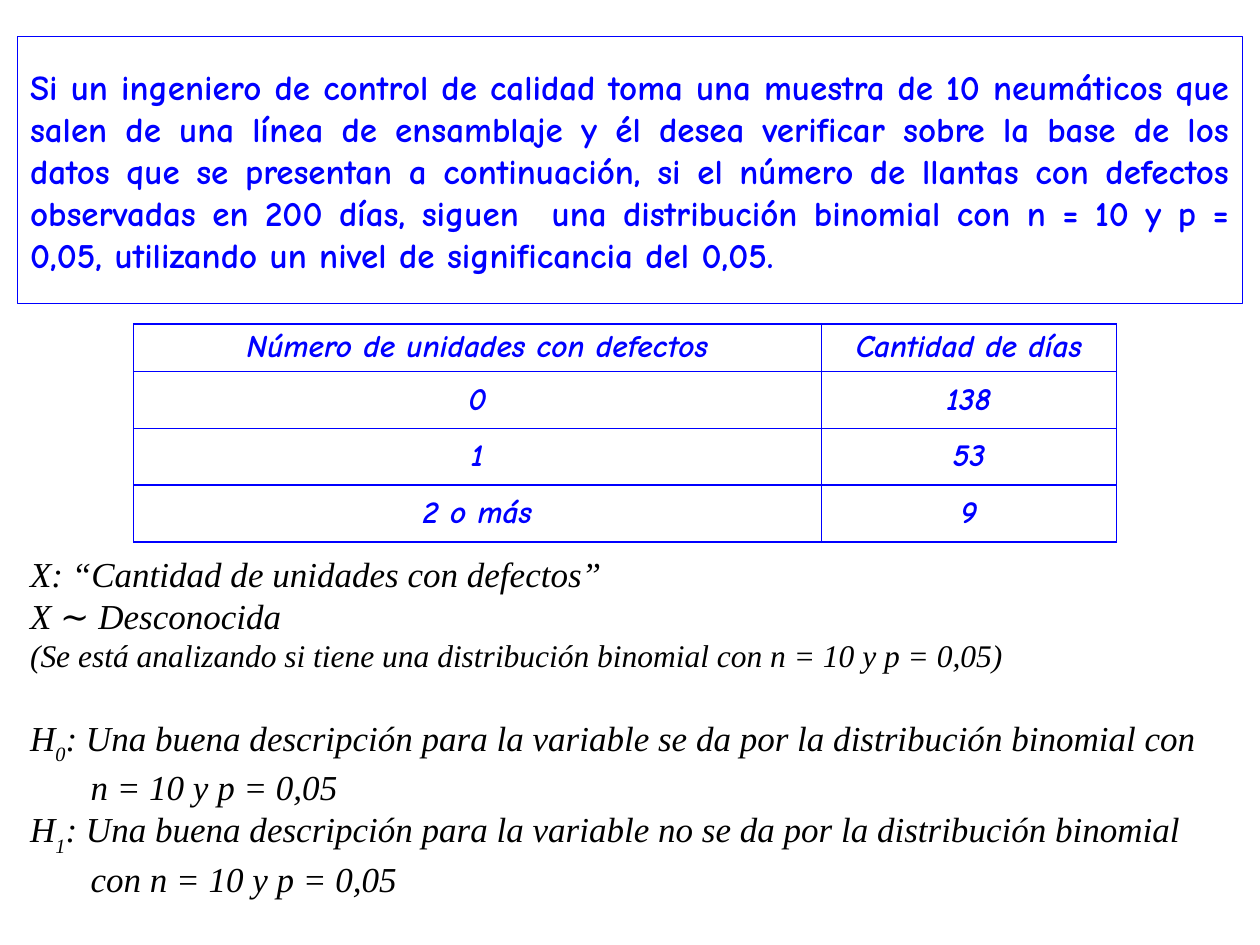
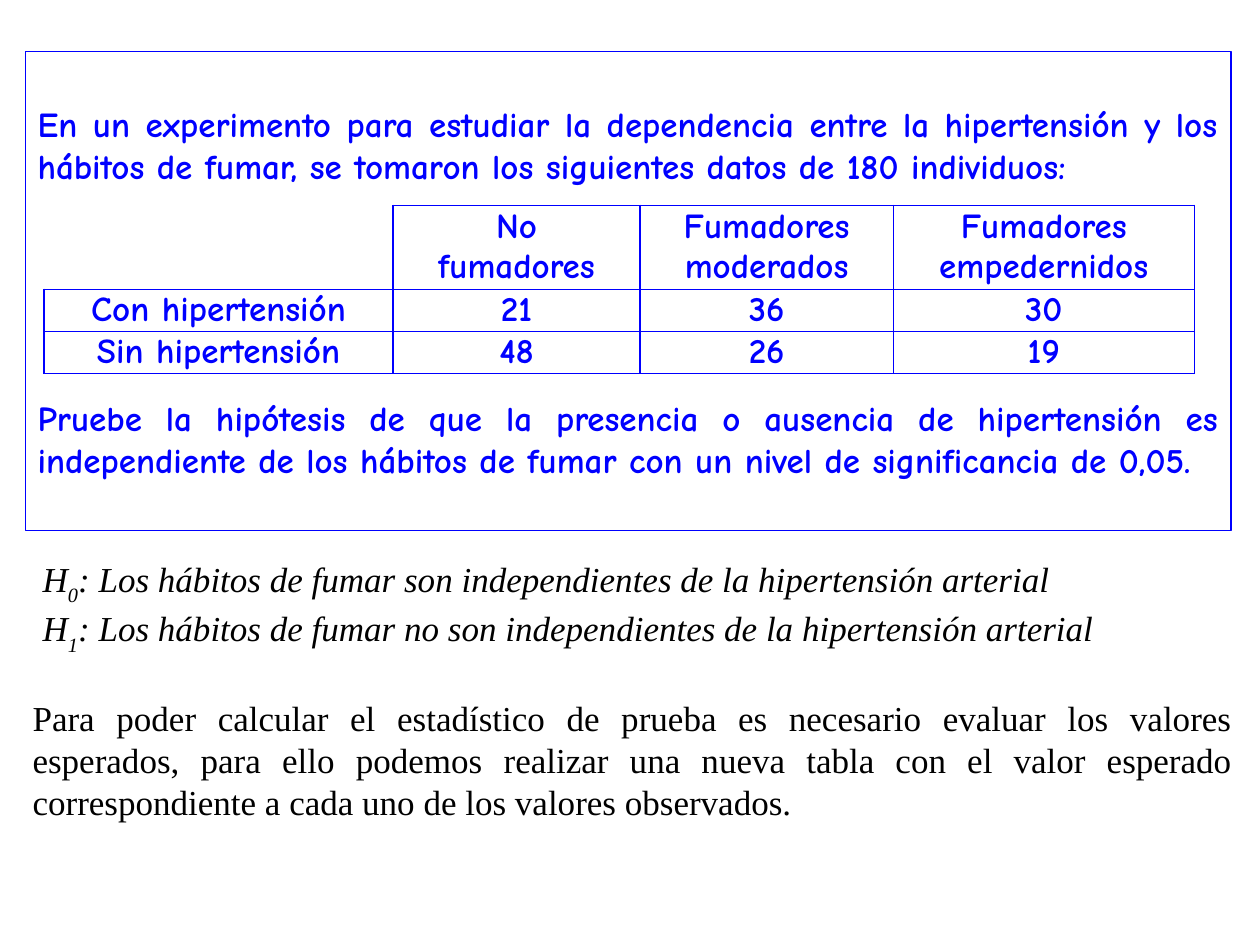
from itertools import product

from lxml import etree
from pptx import Presentation
from pptx.dml.color import RGBColor
from pptx.enum.shapes import MSO_SHAPE as Shape
from pptx.enum.text import MSO_ANCHOR as Anchor, PP_ALIGN as Align
from pptx.oxml.ns import qn
from pptx.util import Inches, Pt

BLUE = RGBColor(0x00, 0x00, 0xFF)
BLACK = RGBColor(0x00, 0x00, 0x00)
STATEMENT_FONT = "Comic Neue"
ANSWER_FONT = "Times New Roman"
BORDER_SIDES = ("a:lnL", "a:lnR", "a:lnT", "a:lnB")
HYPOTHESIS_INDENT = Inches(0.48)


def style(span, name, color, size=20, bold=False, italic=False):
    font = span.font
    font.name, font.size, font.color.rgb = name, Pt(size), color
    font.bold, font.italic = bold, italic


def next_para(frame, index):
    para = frame.paragraphs[0] if index == 0 else frame.add_paragraph()
    para.alignment = Align.JUSTIFY
    return para


def add_statement(page, box, texts, gap=0):
    shape = page.shapes.add_shape(Shape.RECTANGLE, *map(Inches, box))
    shape.shadow.inherit = False
    shape.fill.background()
    shape.line.color.rgb, shape.line.width = BLUE, Pt(0.75)
    frame = shape.text_frame
    frame.word_wrap, frame.vertical_anchor = True, Anchor.MIDDLE
    for index, text in enumerate(texts):
        para = next_para(frame, index)
        para.text = text
        para.space_before = Pt(gap if index else 0)
        style(para.runs[0], STATEMENT_FONT, BLUE, bold=True)


def add_answer(page, box):
    frame = page.shapes.add_textbox(*map(Inches, box)).text_frame
    frame.word_wrap, frame.vertical_anchor = True, Anchor.MIDDLE
    return frame


def add_lines(frame, lines, start=0, size=20, italic=True):
    for index, text in enumerate(lines, start):
        para = next_para(frame, index)
        para.text = text
        style(para.runs[0], ANSWER_FONT, BLACK, size, italic=italic)


def add_hypotheses(frame, hypotheses, start=0, gap=0):
    for number, (text, continuation) in enumerate(hypotheses):
        para = next_para(frame, start)
        para.space_before = Pt(0 if number else gap)
        for part in ("H", str(number), ": " + text):
            span = para.add_run()
            span.text = part
            style(span, ANSWER_FONT, BLACK, italic=True)
        para.runs[1]._r.get_or_add_rPr().set("baseline", "-30000")
        start += 1
        if continuation:
            add_lines(frame, [continuation], start)
            indented = frame.paragraphs[start]
            indented._p.get_or_add_pPr().set("marL", str(HYPOTHESIS_INDENT))
            start += 1


def set_borders(cell, sides):
    properties = cell._tc.get_or_add_tcPr()
    for position, side in enumerate(BORDER_SIDES):
        line = etree.Element(qn(side), w=str(Pt(1)))
        if side in sides:
            fill = etree.SubElement(line, qn("a:solidFill"))
            etree.SubElement(fill, qn("a:srgbClr"), val=str(BLUE))
        else:
            etree.SubElement(line, qn("a:noFill"))
        properties.insert(position, line)


def add_data_table(page, left, top, widths, heights, rows, size, inset, italic=False):
    frame = page.shapes.add_table(
        len(rows), len(widths), Inches(left), Inches(top),
        Inches(sum(widths)), Inches(sum(heights)))
    table = frame.table
    table.first_row = table.horz_banding = False
    for column, width in zip(table.columns, widths):
        column.width = Inches(width)
    for row, height in zip(table.rows, heights):
        row.height = Inches(height)
    for row, column in product(range(len(rows)), range(len(widths))):
        cell, text = table.cell(row, column), rows[row][column]
        cell.fill.background()
        cell.vertical_anchor = Anchor.MIDDLE
        cell.margin_left = cell.margin_right = Inches(inset)
        cell.margin_top = cell.margin_bottom = 0
        cell.text_frame.text = text
        for para in cell.text_frame.paragraphs:
            para.alignment = Align.CENTER
            for span in para.runs:
                style(span, STATEMENT_FONT, BLUE, size, bold=True, italic=italic)
        set_borders(cell, BORDER_SIDES if text else ("a:lnR", "a:lnB"))


def build_tires_page(page):
    add_statement(page, (0.14, 0.29, 9.72, 2.12), [
        "Si un ingeniero de control de calidad toma una muestra de 10 neumáticos que "
        "salen de una línea de ensamblaje y él desea verificar sobre la base de los "
        "datos que se presentan a continuación, si el número de llantas con defectos "
        "observadas en 200 días, siguen  una distribución binomial con n = 10 y p = "
        "0,05, utilizando un nivel de significancia del 0,05."])
    answer = add_answer(page, (0.14, 4.38, 9.72, 2.76))
    add_lines(answer, ["X: “Cantidad de unidades con defectos”", "X ∼ Desconocida"])
    add_lines(answer, ["(Se está analizando si tiene una distribución binomial "
                       "con n = 10 y p = 0,05)"], start=2, size=18)
    add_hypotheses(answer, [
        ("Una buena descripción para la variable se da por la distribución binomial con",
         "n = 10 y p = 0,05"),
        ("Una buena descripción para la variable no se da por la distribución binomial",
         "con n = 10 y p = 0,05")], start=3, gap=24)
    add_data_table(page, 1.06, 2.57, (5.46, 2.34), (0.38, 0.45, 0.45, 0.45), [
        ("Número de unidades con defectos", "Cantidad de días"),
        ("0", "138"), ("1", "53"), ("2 o más", "9")], size=18, inset=0.05, italic=True)


def build_smokers_page(page):
    add_data_table(page, 0.35, 1.63, (2.77, 1.96, 2.01, 2.39), (0.64, 0.32, 0.32), [
        ("", "No\nfumadores", "Fumadores\nmoderados", "Fumadores\nempedernidos"),
        ("Con hipertensión", "21", "36", "30"),
        ("Sin hipertensión", "48", "26", "19")], size=20, inset=0.07)
    add_statement(page, (0.2, 0.41, 9.57, 3.8), [
        "En un experimento para estudiar la dependencia entre la hipertensión y los "
        "hábitos de fumar, se tomaron los siguientes datos de 180 individuos:",
        "Pruebe la hipótesis de que la presencia o ausencia de hipertensión es "
        "independiente de los hábitos de fumar con un nivel de significancia de 0,05."],
        gap=120)
    add_hypotheses(add_answer(page, (0.24, 4.43, 9.57, 0.77)), [
        ("Los hábitos de fumar son independientes de la hipertensión arterial", ""),
        ("Los hábitos de fumar no son independientes de la hipertensión arterial", "")])
    add_lines(add_answer(page, (0.16, 5.47, 9.72, 1.11)), [
        "Para poder calcular el estadístico de prueba es necesario evaluar los valores "
        "esperados, para ello podemos realizar una nueva tabla con el valor esperado "
        "correspondiente a cada uno de los valores observados."], italic=False)


def main():
    deck = Presentation()
    deck.slide_width, deck.slide_height = Inches(10), Inches(7.5)
    for build_page in (build_tires_page, build_smokers_page):
        build_page(deck.slides.add_slide(deck.slide_layouts[6]))
    deck.save("out.pptx")


if __name__ == "__main__":
    main()
